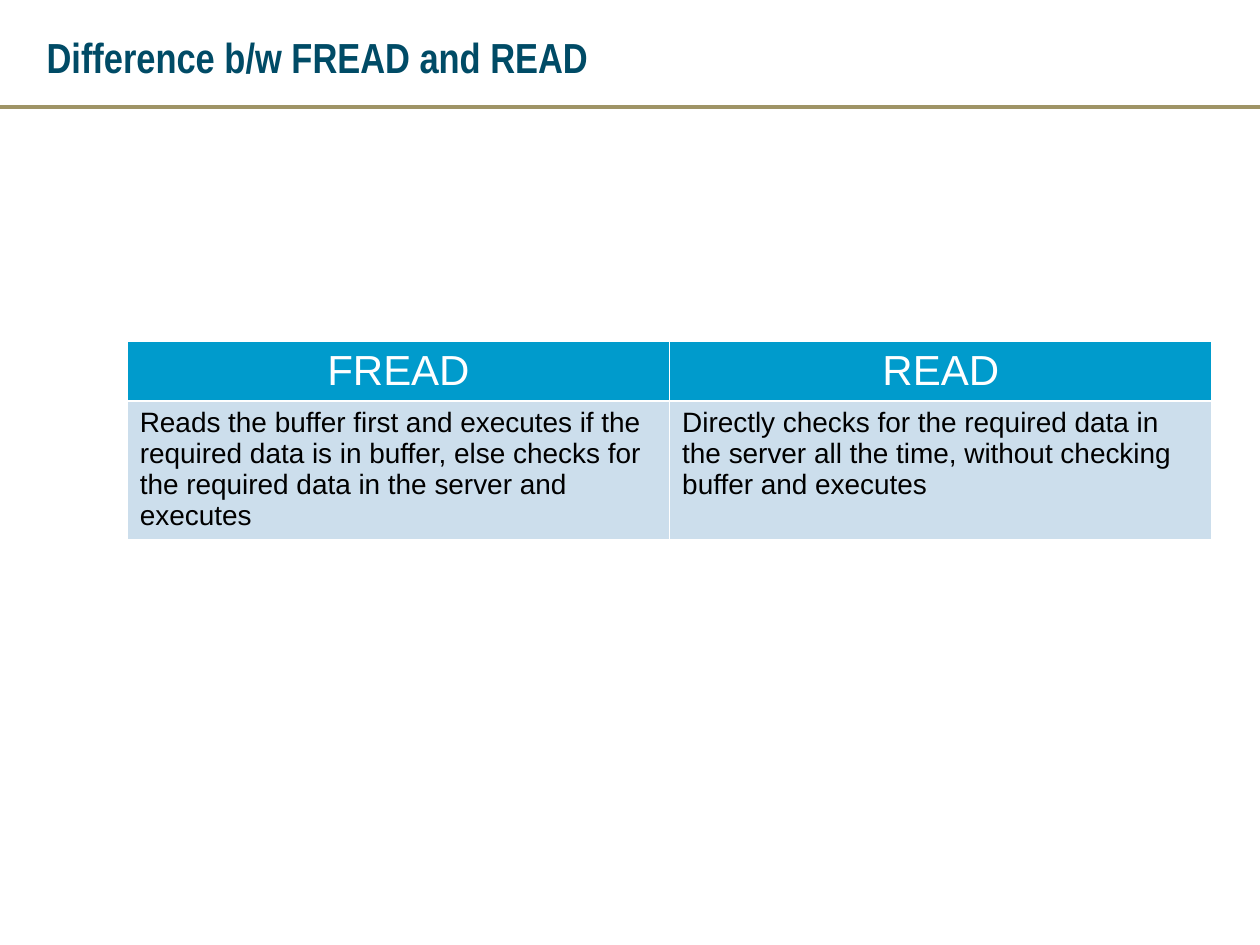
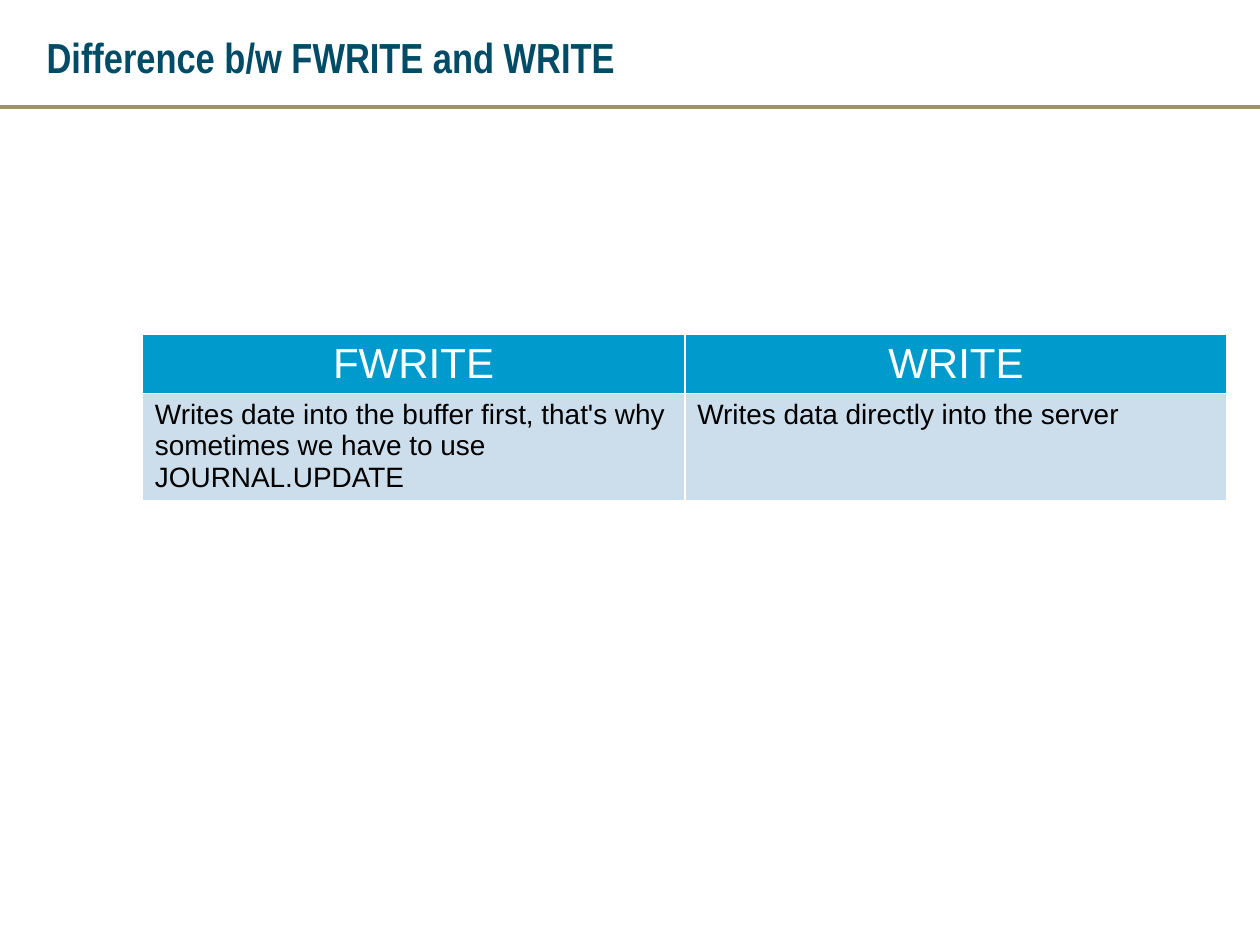
from lxml import etree
from pptx import Presentation
from pptx.dml.color import RGBColor
from pptx.enum.shapes import MSO_CONNECTOR
from pptx.enum.text import MSO_ANCHOR, MSO_AUTO_SIZE, PP_ALIGN
from pptx.oxml.ns import qn
from pptx.util import Inches, Pt

STRAIGHT = MSO_CONNECTOR.STRAIGHT
MIDDLE = MSO_ANCHOR.MIDDLE
NO_AUTOFIT = MSO_AUTO_SIZE.NONE
LEFT, CENTER = PP_ALIGN.LEFT, PP_ALIGN.CENTER

# Shared look
TITLE_TEAL = RGBColor(0x00, 0x4B, 0x66)
RULE_GOLD = RGBColor(0x9F, 0x94, 0x66)
HEADER_BLUE = RGBColor(0x00, 0x9B, 0xCC)
BODY_BLUE = RGBColor(0xCC, 0xDE, 0xEC)
WHITE = RGBColor(0xFF, 0xFF, 0xFF)
BLACK = RGBColor(0x00, 0x00, 0x00)
TITLE_FONT, TABLE_FONT = "Arial Narrow", "Arial"

SLIDE_WIDTH, SLIDE_HEIGHT = Inches(10), Inches(7.5)
RULE_TOP = Inches(0.85)
TABLE_WIDTH = Inches(8.61)
HEADER_HEIGHT = Inches(0.47)
LINE_HEIGHT, CELL_PADDING = Inches(0.25), Inches(0.1)
TITLE_ONLY_LAYOUT = 5

# Title, table left and top in inches, body lines, headings, descriptions
COMPARISONS = [
    ("Difference b/w FREAD and READ", 1.01, 2.71, 4,
     ("FREAD", "READ"),
     ("Reads the buffer first and executes if the required data is in buffer, "
      "else checks for the required data in the server and executes",
      "Directly checks for the required data in the server all the time, "
      "without checking buffer and executes")),
    ("Difference b/w FWRITE and WRITE", 1.13, 2.65, 3,
     ("FWRITE", "WRITE"),
     ("Writes date into the buffer first, that's why sometimes we have to use "
      "JOURNAL.UPDATE",
      "Writes data directly into the server")),
]


def style_paragraph(paragraph, name, size, color, bold=False, alignment=LEFT):
    paragraph.alignment = alignment
    font = paragraph.font
    font.name, font.size, font.bold = name, Pt(size), bold
    font.color.rgb = color


def add_rule(slide):
    rule = slide.shapes.add_connector(STRAIGHT, 0, RULE_TOP, SLIDE_WIDTH, RULE_TOP)
    rule.line.color.rgb = RULE_GOLD
    rule.line.width = Pt(2)
    etree.SubElement(rule._element.spPr, qn("a:effectLst"))


def set_title(slide, text):
    title = slide.shapes.title
    title.left, title.top = Inches(0.27), Inches(0.15)
    title.width, title.height = Inches(9.53), Inches(0.6)
    frame = title.text_frame
    frame.text = text
    frame.auto_size = NO_AUTOFIT
    frame.vertical_anchor = MIDDLE
    style_paragraph(frame.paragraphs[0], TITLE_FONT, 24, TITLE_TEAL, bold=True)


def add_cell_borders(cell, color, width):
    properties = cell._tc.get_or_add_tcPr()
    for side in ("lnL", "lnR", "lnT", "lnB"):
        border = etree.SubElement(properties, qn(f"a:{side}"), w=str(width))
        fill = etree.SubElement(border, qn("a:solidFill"))
        etree.SubElement(fill, qn("a:srgbClr"), val=str(color))


def fill_row(table, row, texts, fill, size, color, alignment):
    for column, text in enumerate(texts):
        cell = table.cell(row, column)
        cell.text = text
        # Borders must precede the fill in the cell properties
        add_cell_borders(cell, WHITE, Pt(1))
        cell.fill.solid()
        cell.fill.fore_color.rgb = fill
        style_paragraph(cell.text_frame.paragraphs[0], TABLE_FONT, size, color,
                        alignment=alignment)


def add_comparison_table(slide, left, top, body_lines, headings, descriptions):
    body_height = CELL_PADDING + body_lines * LINE_HEIGHT
    table = slide.shapes.add_table(
        2, len(headings), Inches(left), Inches(top),
        TABLE_WIDTH, HEADER_HEIGHT + body_height).table
    table.first_row = table.horz_banding = False
    table.rows[0].height = HEADER_HEIGHT
    table.rows[1].height = body_height
    fill_row(table, 0, headings, HEADER_BLUE, 24, WHITE, CENTER)
    fill_row(table, 1, descriptions, BODY_BLUE, 16, BLACK, LEFT)


def main():
    presentation = Presentation()
    presentation.slide_width, presentation.slide_height = SLIDE_WIDTH, SLIDE_HEIGHT
    layout = presentation.slide_layouts[TITLE_ONLY_LAYOUT]
    for title, *table_content in COMPARISONS:
        slide = presentation.slides.add_slide(layout)
        add_rule(slide)
        set_title(slide, title)
        add_comparison_table(slide, *table_content)
    presentation.save("out.pptx")


if __name__ == "__main__":
    main()
